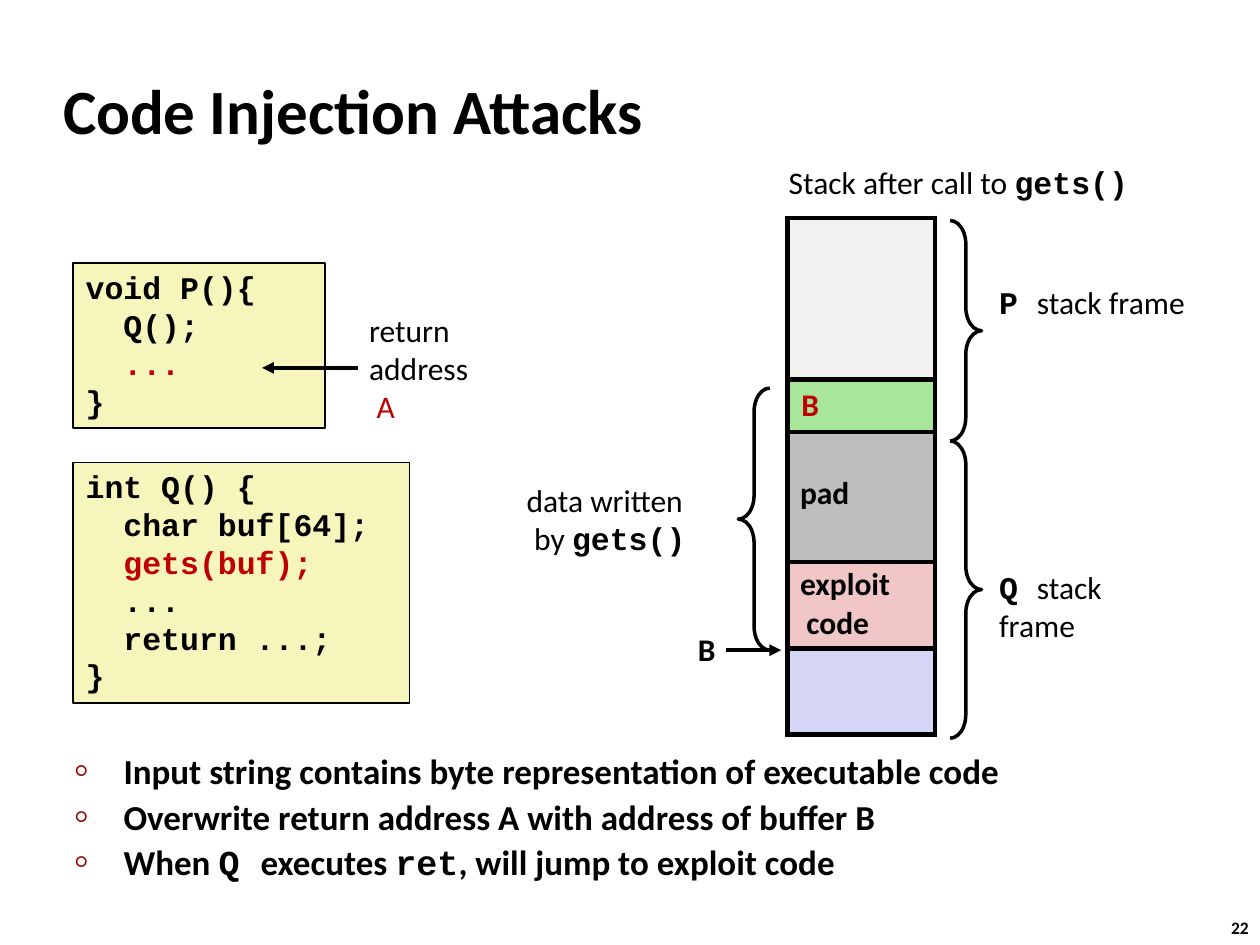
from pptx import Presentation
from pptx.dml.color import RGBColor
from pptx.enum.shapes import MSO_CONNECTOR, MSO_SHAPE
from pptx.enum.text import MSO_ANCHOR, MSO_AUTO_SIZE, PP_ALIGN
from pptx.oxml import parse_xml
from pptx.oxml.ns import nsdecls
from pptx.util import Inches, Pt

BLACK = RGBColor(0x00, 0x00, 0x00)
RED = RGBColor(0xC0, 0x00, 0x00)
CODE_FILL = RGBColor(0xF6, 0xF5, 0xBC)
CALLER_FILL = RGBColor(0xF1, 0xF1, 0xF1)
RETURN_FILL = RGBColor(0xA8, 0xE7, 0x99)
PAD_FILL = RGBColor(0xBE, 0xBE, 0xBE)
EXPLOIT_FILL = RGBColor(0xF0, 0xC6, 0xC6)
REST_FILL = RGBColor(0xD5, 0xD5, 0xF5)
SANS, MONO = "Calibri", "Courier New"
BOLD_MONO = {"font": MONO, "bold": True}


def write(frame, lines, size=18, font=SANS, bold=False, color=BLACK,
          top=0.02, gap=0, pitch=None, bullet=None):
    """Fill a frame with lines of (indent, spans); a span is (text, format)."""
    frame.word_wrap = True
    frame.auto_size = MSO_AUTO_SIZE.NONE
    frame.vertical_anchor = MSO_ANCHOR.TOP
    frame.margin_left = frame.margin_right = frame.margin_bottom = 0
    frame.margin_top = Inches(top)
    for index, (indent, spans) in enumerate(lines):
        para = frame.add_paragraph() if index else frame.paragraphs[0]
        properties = para._p.get_or_add_pPr()
        properties.set("marL", str(Inches(indent)))
        properties.set("indent", str(Inches(-0.38 if bullet else 0)))
        para.alignment = PP_ALIGN.LEFT
        para.space_before = Pt(gap if index else 0)
        if pitch:
            para.line_spacing = Pt(pitch)
        if bullet:
            for xml in ('<a:buClr %s><a:srgbClr val="990000"/></a:buClr>',
                        '<a:buSzPct %s val="60000"/>',
                        '<a:buFont %s typeface="Calibri"/>',
                        f'<a:buChar %s char="{bullet}"/>'):
                properties.append(parse_xml(xml % nsdecls("a")))
        for text, look in spans:
            span = para.add_run()
            span.text = text
            span.font.size = Pt(size)
            span.font.name = look.get("font", font)
            span.font.bold = look.get("bold", bold)
            span.font.color.rgb = look.get("color", color)


deck = Presentation()
deck.slide_width, deck.slide_height = Inches(10), Inches(7.5)
page = deck.slides.add_slide(deck.slide_layouts[1])

# Title and bullet list
title, body = page.shapes.title, page.placeholders[1]
for holder, place in ((title, (0.5, 0.55, 6, 0.63)), (body, (0.59, 5.89, 8, 1.2))):
    holder.left, holder.top, holder.width, holder.height = map(Inches, place)
write(title.text_frame, [(0, [("Code Injection Attacks", {})])], size=36, bold=True)
write(body.text_frame, [
    (0.39, [("Input string contains byte representation of executable code", {})]),
    (0.39, [("Overwrite return address A with address of buffer B", {})]),
    (0.39, [("When ", {}), ("Q ", BOLD_MONO), ("executes ", {}),
            ("ret", BOLD_MONO), (", will jump to exploit code", {})]),
], size=20, bold=True, top=0.06, gap=2, bullet="○")

# Code listings
listings = [
    ((0.58, 2.09, 2, 1.31),
     [(0.1, "void P(){", BLACK), (0.4, "Q();", BLACK), (0.4, "...", RED), (0.1, "}", BLACK)]),
    ((0.58, 3.67, 2.67, 1.91),
     [(0.1, "int Q() {", BLACK), (0.4, "char buf[64];", BLACK), (0.4, "gets(buf);", RED),
      (0.4, "...", BLACK), (0.4, "return ...;", BLACK), (0.1, "}", BLACK)]),
]
for place, code in listings:
    listing = page.shapes.add_shape(MSO_SHAPE.RECTANGLE, *map(Inches, place))
    listing.shadow.inherit = False
    listing.fill.solid()
    listing.fill.fore_color.rgb = CODE_FILL
    listing.line.color.rgb = BLACK
    listing.line.width = Pt(1)
    lines = [(indent, [(text, {"color": color})]) for indent, text, color in code]
    write(listing.text_frame, lines, font=MONO, bold=True, top=0.04, pitch=21.6)

# Labels
labels = [
    ((2.92, 2.45, 0.9, 0.93),
     [(0.01, [("return", {})]), (0.01, [("address", {})]), (0.07, [("A", {"color": RED})])]),
    ((6.25, 1.27, 2.8, 0.33),
     [(0.01, [("Stack after call to ", {}), ("gets()", BOLD_MONO)])]),
    ((7.92, 2.23, 1.55, 0.33), [(0.01, [("P ", BOLD_MONO), ("stack frame", {})])]),
    ((7.92, 4.49, 1.3, 0.63), [(0.01, [("Q ", BOLD_MONO), ("stack frame", {})])]),
    ((5.53, 4.98, 0.17, 0.33), [(0.01, [("B", {"bold": True})])]),
    ((4.17, 3.8, 1.4, 0.62),
     [(0.01, [("data written", {})]), (0.07, [("by ", {}), ("gets()", BOLD_MONO)])]),
]
for place, lines in labels:
    box = page.shapes.add_textbox(*map(Inches, place))
    write(box.text_frame, lines)

number = page.shapes.add_textbox(Inches(9.74), Inches(7.28), Inches(0.22), Inches(0.18))
write(number.text_frame, [(0.03, [("22", {})])], size=10, bold=True, top=0)

# Braces
braces = [
    (MSO_SHAPE.RIGHT_BRACE, 7.54, 1.75, 1.75),
    (MSO_SHAPE.RIGHT_BRACE, 7.54, 3.5, 2.36),
    (MSO_SHAPE.LEFT_BRACE, 5.86, 3.08, 2.08),
]
for kind, left, top, height in braces:
    brace = page.shapes.add_shape(kind, Inches(left), Inches(top), Inches(0.25), Inches(height))
    brace.shadow.inherit = False
    brace.adjustments[0] = 0.75
    brace.fill.background()
    brace.line.color.rgb = BLACK
    brace.line.width = Pt(2)

# Arrows
for start, end, level in ((2.84, 2.08, 2.92), (5.76, 6.2, 5.16)):
    arrow = page.shapes.add_connector(
        MSO_CONNECTOR.STRAIGHT, Inches(start), Inches(level), Inches(end), Inches(level))
    arrow.line.color.rgb = BLACK
    arrow.line.width = Pt(2.25)
    arrow.line._get_or_add_ln().append(
        parse_xml(f'<a:tailEnd {nsdecls("a")} type="triangle"/>'))
    arrow._element.spPr.append(parse_xml(f'<a:effectLst {nsdecls("a")}/>'))

# Stack
stack_rows = [
    (1.28, CALLER_FILL, [], BLACK, 0),
    (0.42, RETURN_FILL, [(0.11, "B")], RED, 0.06),
    (1.03, PAD_FILL, [(0.1, "pad")], BLACK, 0.34),
    (0.69, EXPLOIT_FILL, [(0.1, "exploit"), (0.15, "code")], BLACK, 0.03),
    (0.68, REST_FILL, [], BLACK, 0),
]
stack = page.shapes.add_table(
    len(stack_rows), 1, Inches(6.25), Inches(1.73), Inches(1.17), Inches(4.1)).table
stack.first_row = stack.horz_banding = False
for index, (height, fill, words, color, top) in enumerate(stack_rows):
    stack.rows[index].height = Inches(height)
    cell = stack.cell(index, 0)
    lines = [(indent, [(text, {})]) for indent, text in words]
    write(cell.text_frame, lines, bold=True, color=color)
    cell.margin_left = cell.margin_right = cell.margin_bottom = 0
    cell.margin_top = Inches(top)
    cell_format = cell._tc.get_or_add_tcPr()
    for side in ("lnL", "lnR", "lnT", "lnB"):
        cell_format.append(parse_xml(
            f'<a:{side} {nsdecls("a")} w="{Pt(3)}"><a:solidFill>'
            f'<a:srgbClr val="{BLACK}"/></a:solidFill></a:{side}>'))
    cell.fill.solid()
    cell.fill.fore_color.rgb = fill

deck.save("out.pptx")
